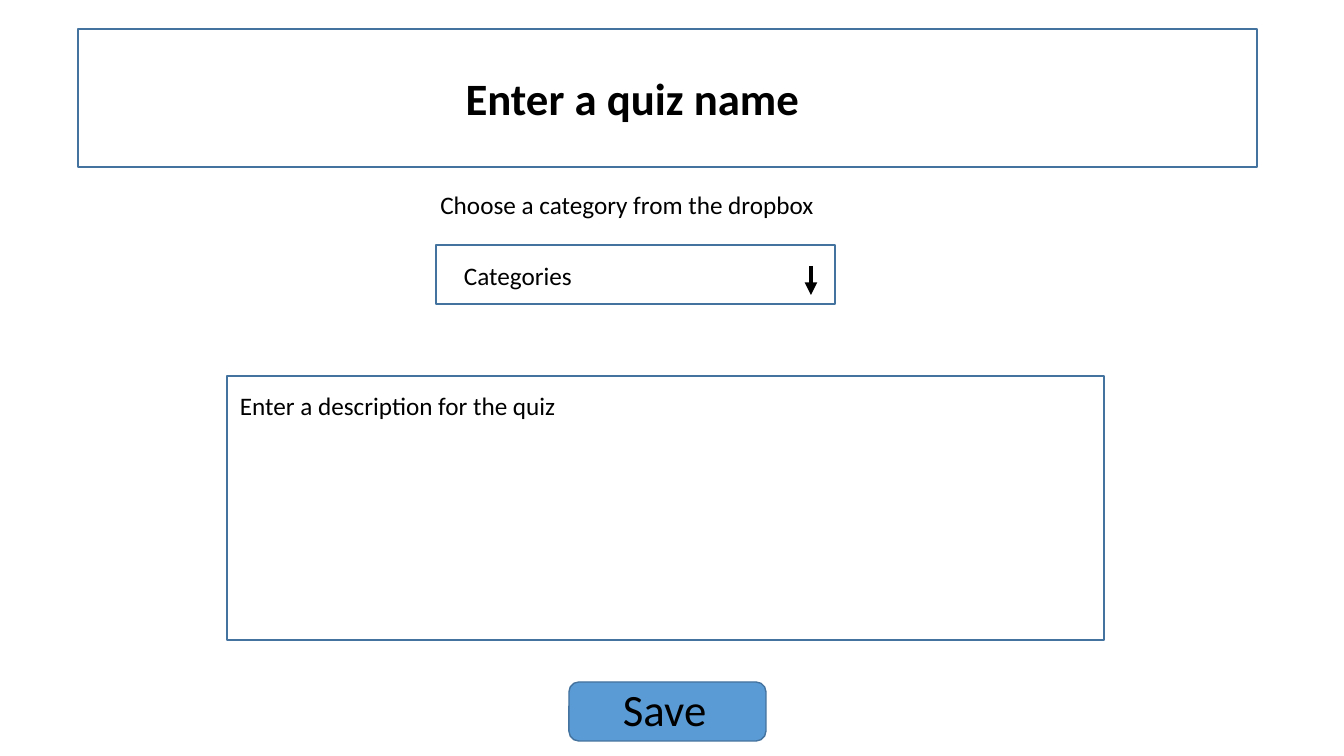
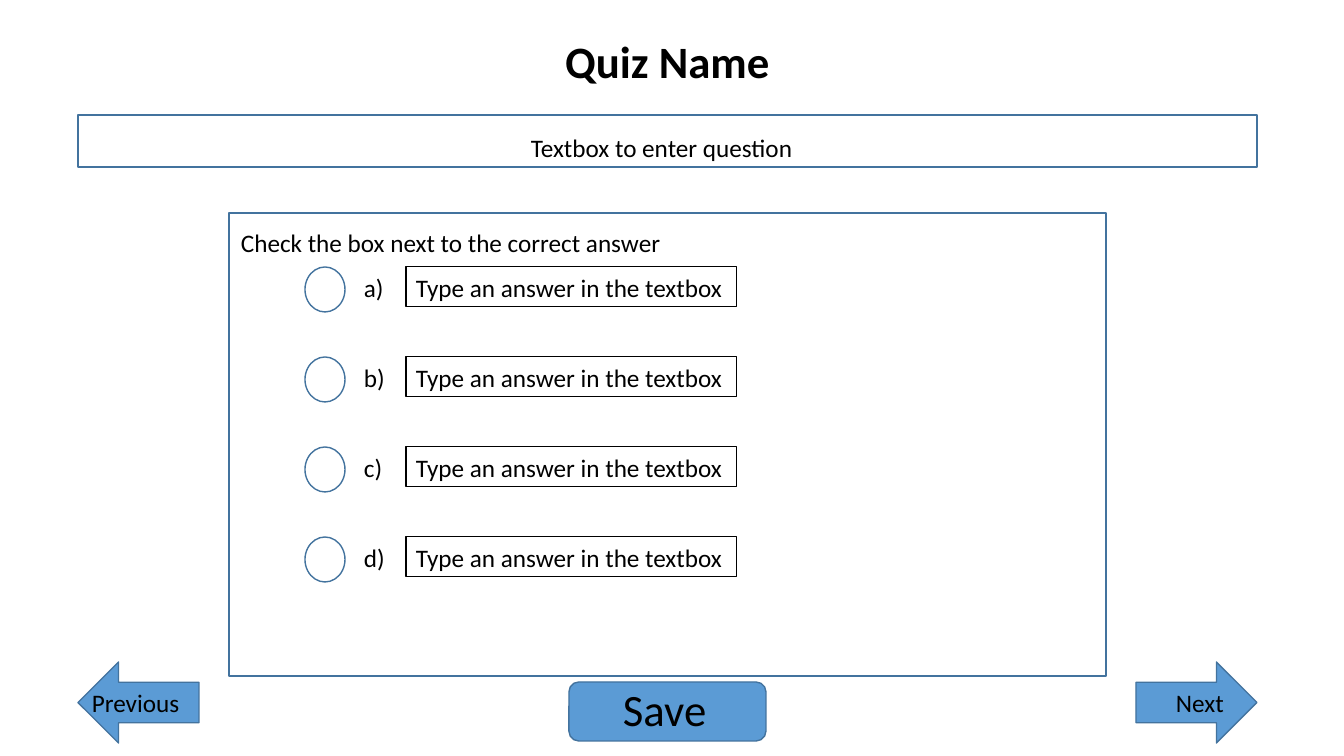
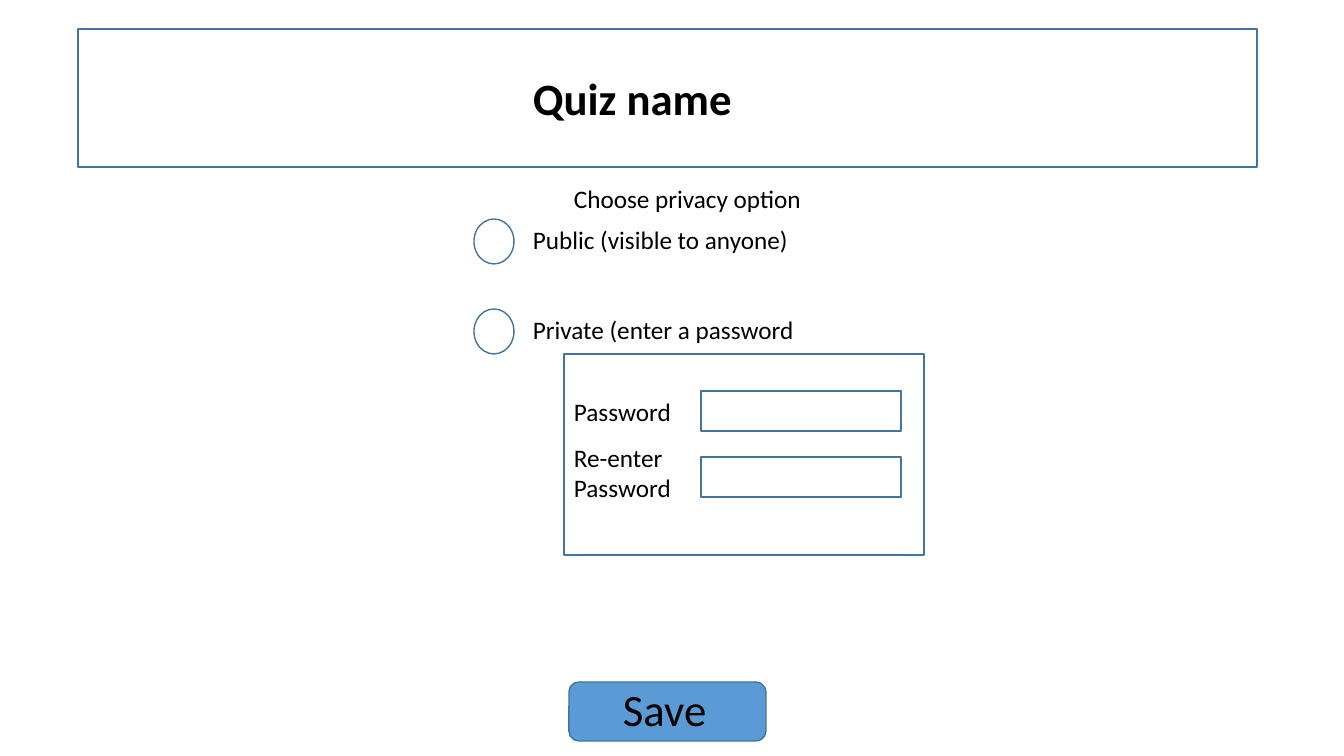
from dataclasses import dataclass

from pptx import Presentation
from pptx import util as u
from pptx.dml.color import RGBColor
from pptx.enum import shapes, text
from pptx.oxml.ns import qn

PIXEL = 914400 / 100.8
KIND = shapes.MSO_SHAPE
TITLE_ONLY = 5


@dataclass(frozen=True)
class Theme:
    """Colours, type and line widths shared by every slide."""
    font: str = "Calibri"
    ink: RGBColor = RGBColor(0x00, 0x00, 0x00)
    outline: RGBColor = RGBColor(0x43, 0x73, 0x9E)
    button: RGBColor = RGBColor(0x5B, 0x9B, 0xD5)
    heading_size: int = 32
    body_size: int = 18
    outline_width: float = 1
    answer_width: float = 0.75
    arrow_width: float = 3


THEME = Theme()
HEADER = (78, 29, 1179, 138)
QUESTION = (78, 115, 1179, 52)
SAVE = (569, 682, 197, 59)
LINE_HEIGHT = 40
OPTION_PITCH = 90


def emu(*pixels):
    """Turn pixel lengths into EMU."""
    return [u.Emu(round(pixel * PIXEL)) for pixel in pixels]


def write(text_frame, words, size=THEME.body_size, bold=False, align=None, wrap=True):
    """Fill a text frame and format all of its runs."""
    text_frame.text = words
    text_frame.word_wrap = wrap
    text_frame.auto_size = text.MSO_AUTO_SIZE.SHAPE_TO_FIT_TEXT
    text_frame.vertical_anchor = text.MSO_ANCHOR.TOP
    for paragraph in text_frame.paragraphs:
        paragraph.alignment = align or text.PP_ALIGN.LEFT
        for run in paragraph.runs:
            run.font.name = THEME.font
            run.font.size = u.Pt(size)
            run.font.bold = bold
            run.font.color.rgb = THEME.ink


def add_label(slide, box, words, **style):
    """Add a text box."""
    label = slide.shapes.add_textbox(*emu(*box))
    write(label.text_frame, words, **style)


def add_outline(slide, box, kind=KIND.RECTANGLE, fill=None,
                color=THEME.outline, width=THEME.outline_width):
    """Add an outlined shape, hollow unless a fill is given."""
    shape = slide.shapes.add_shape(kind, *emu(*box))
    shape.shadow.inherit = False
    if fill is None:
        shape.fill.background()
    else:
        shape.fill.solid()
        shape.fill.fore_color.rgb = fill
    shape.line.color.rgb = color
    shape.line.width = u.Pt(width)
    return shape


def add_down_arrow(slide, x, top, bottom):
    """Add the vertical arrow of a dropdown."""
    arrow = slide.shapes.add_connector(
        shapes.MSO_CONNECTOR.STRAIGHT, *emu(x, top, x, bottom))
    arrow.line.color.rgb = THEME.ink
    arrow.line.width = u.Pt(THEME.arrow_width)
    line = arrow.line._get_or_add_ln()
    line.append(line.makeelement(qn("a:tailEnd"), {"type": "triangle"}))
    properties = arrow._element.spPr
    properties.append(properties.makeelement(qn("a:effectLst"), {}))


def add_title(slide, x, y, words):
    """Move and format the title placeholder."""
    title = slide.shapes.title
    title.left, title.top, title.width, title.height = emu(x, y, 877, 65)
    write(title.text_frame, words, size=THEME.heading_size, bold=True,
          align=text.PP_ALIGN.CENTER)


def add_boxed_title(slide, box, words):
    """Add the header box with its title."""
    x, y, _, _ = box
    add_outline(slide, box)
    add_title(slide, x + 116, y + 37, words)


def add_save_button(slide, box):
    """Add the Save button."""
    x, y, _, _ = box
    add_outline(slide, box, KIND.ROUNDED_RECTANGLE, THEME.button)
    add_label(slide, (x + 44, y - 5, 131, 65), "Save", size=THEME.heading_size)


def add_dropdown(slide, box):
    """Add the category dropdown."""
    x, y, width, _ = box
    add_outline(slide, box)
    add_label(slide, (x + 18, y + 10, 129, LINE_HEIGHT), "Categories", wrap=False)
    add_down_arrow(slide, x + width - 24, y + 21, y + 50)


def add_description(slide, box):
    """Add the description field."""
    x, y, _, _ = box
    add_outline(slide, box)
    add_label(slide, (x + 3, y + 9, 800, LINE_HEIGHT), "Enter a description for the quiz")


def add_option(slide, x, y, words, width):
    """Add a round choice with its label."""
    add_outline(slide, (x, y, 40, 45), KIND.OVAL)
    add_label(slide, (x + 49, y, width, LINE_HEIGHT), words, wrap=False)


def add_question(slide, box):
    """Add the question field."""
    x, y, _, _ = box
    add_outline(slide, box)
    add_label(slide, (x + 443, y + 12, 290, LINE_HEIGHT),
              "Textbox to enter question", wrap=False)


def add_answers(slide, box):
    """Add the panel of four answers."""
    x, y, _, _ = box
    add_outline(slide, box)
    add_label(slide, (x + 2, y + 9, 683, LINE_HEIGHT),
              "Check the box next to the correct answer")
    for index, letter in enumerate("abcd"):
        top = y + 54 + index * OPTION_PITCH
        add_option(slide, x + 76, top, f"{letter})", 41)
        answer = add_outline(slide, (x + 177, top, 331, LINE_HEIGHT),
                             color=THEME.ink, width=THEME.answer_width)
        write(answer.text_frame, "Type an answer in the textbox", wrap=False)


def add_arrow_button(slide, box, words, indent, rotation=0):
    """Add a navigation arrow with its label."""
    x, y, width, _ = box
    arrow = add_outline(slide, box, KIND.RIGHT_ARROW, THEME.button)
    arrow.rotation = rotation
    add_label(slide, (x + indent, y + 20, width, LINE_HEIGHT), words)


def add_privacy_options(slide, x, y):
    """Add the privacy choices under their prompt."""
    add_label(slide, (x + 90, y - 41, 250, LINE_HEIGHT), "Choose privacy option", wrap=False)
    options = (("Public (visible to anyone)", 278), ("Private (enter a password", 284))
    for index, (words, width) in enumerate(options):
        add_option(slide, x, y + index * OPTION_PITCH, words, width)


def add_password_panel(slide, box):
    """Add the panel with two password fields."""
    x, y, _, _ = box
    add_outline(slide, box)
    fields = (("Password", 37, 37, LINE_HEIGHT), ("Re-enter\nPassword", 83, 103, 72))
    for words, label_top, field_top, height in fields:
        add_label(slide, (x, y + label_top, 136, height), words)
        add_outline(slide, (x + 137, y + field_top, 200, LINE_HEIGHT))


def build_details(slide):
    """Build the quiz details form."""
    add_boxed_title(slide, HEADER, "Enter a quiz name")
    add_label(slide, (227, 184, 800, LINE_HEIGHT),
              "Choose a category from the dropbox", align=text.PP_ALIGN.CENTER)
    add_dropdown(slide, (436, 245, 399, 59))
    add_description(slide, (227, 376, 877, 264))


def build_question(slide):
    """Build the question form."""
    add_title(slide, 229, 29, "Quiz Name")
    add_question(slide, QUESTION)
    add_answers(slide, (229, 213, 877, 463))
    add_arrow_button(slide, (78, 662, 121, 81), "Previous", 4, rotation=180)
    add_arrow_button(slide, (1136, 662, 121, 81), "Next", 30)


def build_privacy(slide):
    """Build the privacy form."""
    add_boxed_title(slide, HEADER, "Quiz name")
    add_privacy_options(slide, 474, 219)
    add_password_panel(slide, (564, 354, 360, 201))


def main():
    """Build and save the presentation."""
    presentation = Presentation()
    presentation.slide_width, presentation.slide_height = emu(1344, 756)
    for build in (build_details, build_question, build_privacy):
        slide = presentation.slides.add_slide(presentation.slide_layouts[TITLE_ONLY])
        build(slide)
        add_save_button(slide, SAVE)
    presentation.save("out.pptx")


main()
